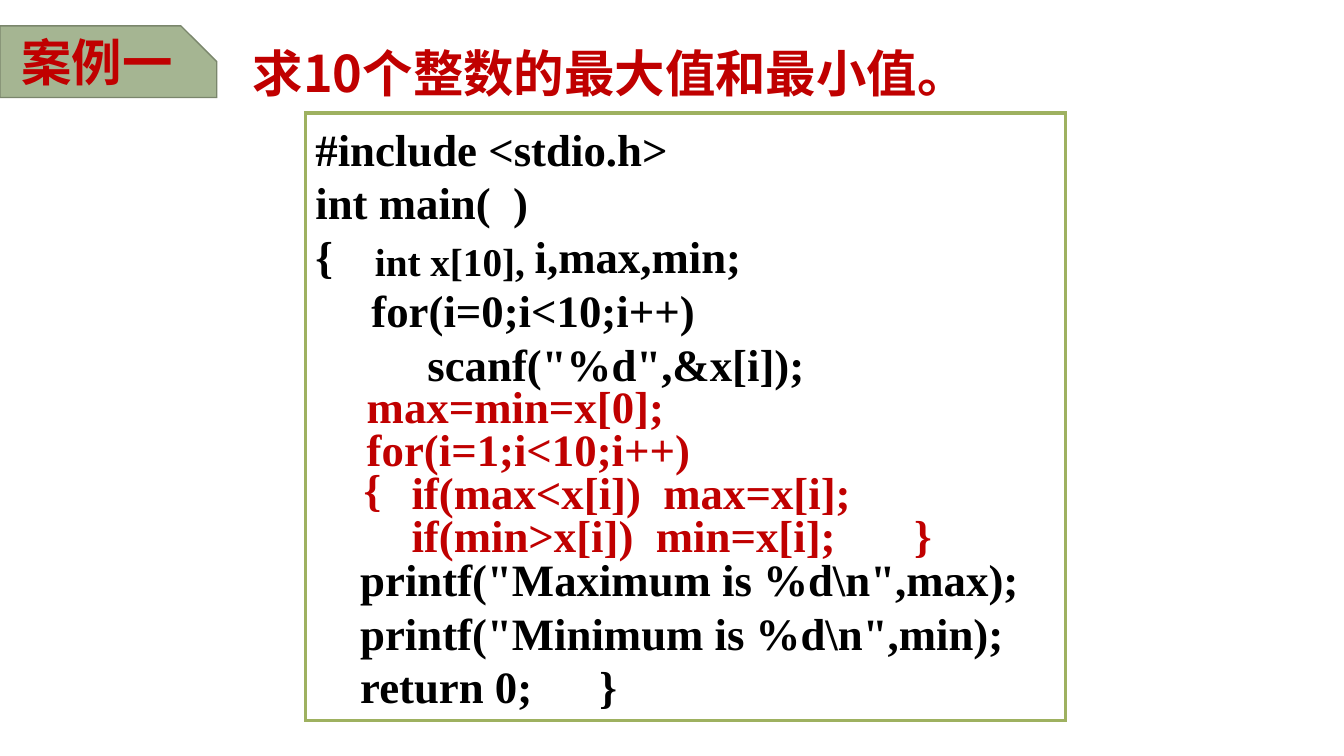
from lxml import etree
from pptx import Presentation
from pptx.dml.color import RGBColor
from pptx.enum.shapes import MSO_SHAPE
from pptx.enum.text import MSO_ANCHOR, PP_ALIGN
from pptx.oxml.ns import qn
from pptx.util import Pt

RECT, SNIPPED = MSO_SHAPE.RECTANGLE, MSO_SHAPE.SNIP_1_RECTANGLE
TOP, MIDDLE = MSO_ANCHOR.TOP, MSO_ANCHOR.MIDDLE
LEFT, CENTER = PP_ALIGN.LEFT, PP_ALIGN.CENTER
RED = RGBColor(0xC0, 0x00, 0x00)
BLACK = RGBColor(0x00, 0x00, 0x00)
FRAME = RGBColor(0x9E, 0xB1, 0x60)
BADGE = RGBColor(0xA5, 0xB5, 0x92)
BADGE_EDGE = RGBColor(0x7A, 0x86, 0x6C)

HEAD_FONT, CODE_FONT = "Noto Sans CJK SC", "Times New Roman"
HEAD_SIZE, CODE_SIZE, SMALL_SIZE = 36, 32, 28
LEADING = 1.2
TIGHT = 0.8
TAB_STOP = 72
SEARCH_GAP = 3 * CODE_SIZE * LEADING

READ_NUMBERS = [
    "#include <stdio.h>",
    "int main(  )",
    "{                  i,max,min;",
    "     for(i=0;i<10;i++)",
    "    \t scanf(\"%d\",&x[i]);",
]
FIND_EXTREMES = [
    "max=min=x[0];",
    "for(i=1;i<10;i++)",
    "    if(max<x[i])  max=x[i];",
    "    if(min>x[i])  min=x[i];       }",
]
PRINT_RESULTS = [
    "　printf(\"Maximum is %d\\n\",max);",
    "    printf(\"Minimum is %d\\n\",min);",
    "    return 0;      }",
]


def style(p, font, size, color):
    for r in p.runs:
        r.font.name, r.font.size, r.font.bold = font, Pt(size), True
        r.font.color.rgb = color
        ea = etree.SubElement(r.font._element, qn("a:ea"))
        ea.set("typeface", font)


def add_tab_stop(p):
    tabs = etree.SubElement(p._p.get_or_add_pPr(), qn("a:tabLst"))
    etree.SubElement(tabs, qn("a:tab"), pos=str(Pt(TAB_STOP)), algn="l")


def add_box(s, x, y, w, h):
    return s.shapes.add_textbox(Pt(x), Pt(y), Pt(w), Pt(h))


def add_panel(s, kind, x, y, w, h, edge, weight):
    sp = s.shapes.add_shape(kind, Pt(x), Pt(y), Pt(w), Pt(h))
    sp.shadow.inherit = False
    sp.line.color.rgb, sp.line.width = edge, Pt(weight)
    etree.SubElement(sp.line._get_or_add_ln(), qn("a:miter"), lim="800000")
    return sp


def write_heading(sp, text, align):
    tf = sp.text_frame
    tf.word_wrap, tf.vertical_anchor = True, MIDDLE
    tf.text = text
    p = tf.paragraphs[0]
    p.alignment = align
    style(p, HEAD_FONT, HEAD_SIZE, RED)


def write_code(sp, lines, color, size=CODE_SIZE, scale=1, anchor=TOP, wrap=True):
    tf = sp.text_frame
    tf.word_wrap, tf.vertical_anchor = wrap, anchor
    tf.text = "\n".join(lines)
    for p, line in zip(tf.paragraphs, lines):
        p.alignment = LEFT
        p.line_spacing = Pt(size * LEADING * scale)
        if "\t" in line:
            add_tab_stop(p)
        style(p, CODE_FONT, size, color)


def add_badge(s, x, y, w, h):
    sp = add_panel(s, SNIPPED, x, y, w, h, BADGE_EDGE, 1)
    sp.adjustments[0] = 0.5
    sp.fill.solid()
    sp.fill.fore_color.rgb = BADGE
    label = add_box(s, x + 3, y - 5, w - 22, h + 9.5)
    write_heading(label, "案例一", CENTER)


def add_title(s, x, y, w, h):
    write_heading(add_box(s, x, y, w, h), "求10个整数的最大值和最小值。", LEFT)


def add_program(s, x, y, w, h):
    frame = add_panel(s, RECT, x, y, w, h, FRAME, 2.25)
    frame.fill.background()
    write_code(frame, READ_NUMBERS + PRINT_RESULTS, BLACK, anchor=MIDDLE)
    first_print = frame.text_frame.paragraphs[len(READ_NUMBERS)]
    first_print.space_before = Pt(SEARCH_GAP)

    search = add_box(s, x + 36.7, y + 193.7, w - 60.5, 131.8)
    write_code(search, FIND_EXTREMES, RED, scale=TIGHT)
    loop_brace = add_box(s, x + 34.5, y + 245.5, 27.4, 46)
    write_code(loop_brace, ["{"], RED, wrap=False)
    array = add_box(s, x + 42.5, y + 85, 123.1, 41)
    write_code(array, ["int x[10],"], BLACK, size=SMALL_SIZE, wrap=False)


def main():
    prs = Presentation()
    prs.slide_width, prs.slide_height = Pt(960), Pt(540)
    s = prs.slides.add_slide(prs.slide_layouts[6])
    add_title(s, 173.5, 18.7, 658.8, 66.2)
    add_program(s, 218.2, 80.8, 542.9, 434.2)
    add_badge(s, 0, 18.5, 154.8, 51.1)
    prs.save("out.pptx")


if __name__ == "__main__":
    main()
